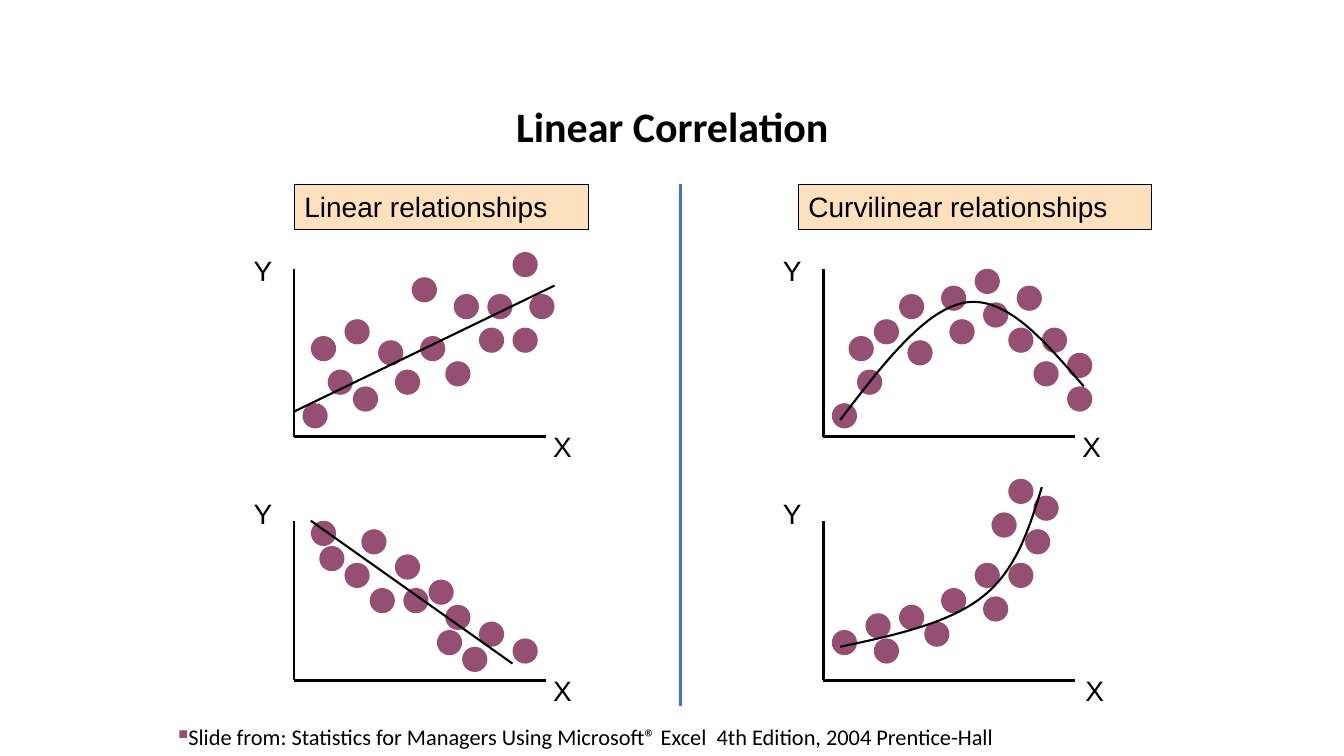
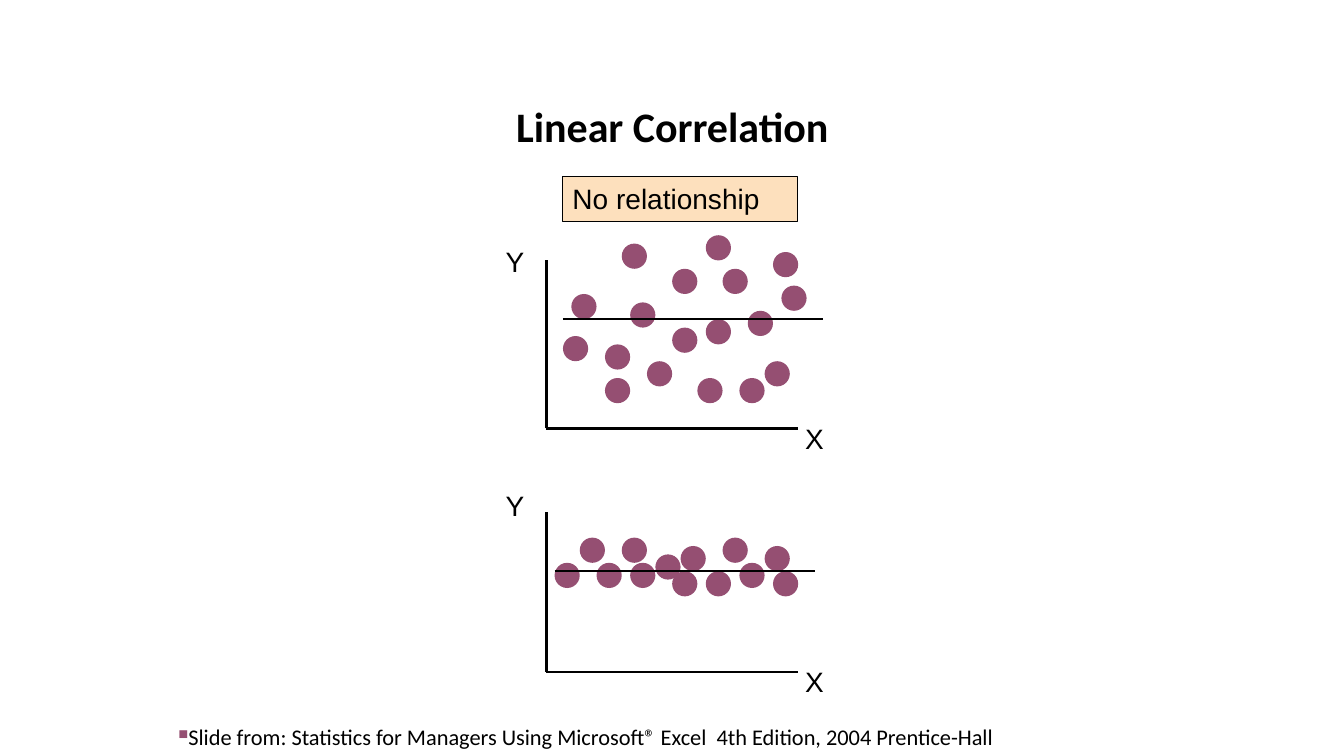
from dataclasses import dataclass

from lxml.etree import SubElement
from pptx import Presentation
from pptx.dml.color import RGBColor
from pptx.enum.shapes import MSO_CONNECTOR, MSO_SHAPE
from pptx.enum.text import MSO_ANCHOR, MSO_AUTO_SIZE, PP_ALIGN
from pptx.oxml.ns import qn
from pptx.util import Inches, Pt


@dataclass(frozen=True)
class Theme:
    ink: str = "000000"
    dot: str = "954F72"
    label_fill: str = "FDE0BD"
    divider: str = "4472C4"
    title_font: str = "Calibri"
    label_font: str = "Arial"
    title_size: int = 30
    label_size: int = 20
    source_size: int = 16
    axis_width: float = 2
    trend_width: float = 1.5
    divider_width: float = 2.25
    border_width: float = 1


TITLE = "Linear Correlation"
SOURCE = ("Slide from: Statistics for Managers Using Microsoft® Excel  "
          "4th Edition, 2004 Prentice-Hall")

# Plot coordinates are twelfths of an inch, right and up from the axis corner
UNIT = 1 / 12
DOT_SIZE = 3
AXIS_LENGTH = 30
CURVE_STEPS = 24


def bezier_points(controls):
    """Sample joined cubic segments; neighbours share their end point."""
    points = [controls[0]]
    for first in range(0, len(controls) - 1, 3):
        a, b, c, d = controls[first:first + 4]
        for step in range(1, CURVE_STEPS + 1):
            t = step / CURVE_STEPS
            weights = ((1 - t) ** 3, 3 * t * (1 - t) ** 2, 3 * t * t * (1 - t), t ** 3)
            points.append(tuple(sum(w * p[axis] for w, p in zip(weights, (a, b, c, d)))
                                for axis in (0, 1)))
    return points


class DeckBuilder:
    def __init__(self, theme):
        self.theme = theme
        self.deck = Presentation()
        self.deck.slide_width = Inches(13.33)
        self.deck.slide_height = Inches(7.5)
        self.page = None

    def new_page(self):
        self.page = self.deck.slides.add_slide(self.deck.slide_layouts[6])
        self.title()
        self.source()

    def add_span(self, para, text, font, size, bold=False):
        span = para.add_run()
        span.text = text
        span.font.name = font
        span.font.size = Pt(size)
        span.font.bold = bold
        span.font.color.rgb = RGBColor.from_string(self.theme.ink)

    def text_box(self, left, top, width, height, wrap=False):
        box = self.page.shapes.add_textbox(
            Inches(left), Inches(top), Inches(width), Inches(height))
        box.text_frame.word_wrap = wrap
        return box.text_frame

    def title(self):
        frame = self.text_box(0.92, 0.4, 11.5, 1.45, wrap=True)
        frame.vertical_anchor = MSO_ANCHOR.MIDDLE
        para = frame.paragraphs[0]
        para.alignment = PP_ALIGN.CENTER
        para.line_spacing = 1.5
        self.add_span(para, TITLE, self.theme.title_font, self.theme.title_size, bold=True)

    def source(self):
        frame = self.text_box(1.67, 7.12, 8.59, 0.37)
        frame.auto_size = MSO_AUTO_SIZE.SHAPE_TO_FIT_TEXT
        para = frame.paragraphs[0]
        # Small coloured square bullet
        properties = para._p.get_or_add_pPr()
        colour = SubElement(properties, qn("a:buClr"))
        SubElement(colour, qn("a:srgbClr"), val=self.theme.dot)
        SubElement(properties, qn("a:buSzPct"), val="60000")
        SubElement(properties, qn("a:buChar"), char="■")
        self.add_span(para, SOURCE, self.theme.title_font, self.theme.source_size)

    def axis_label(self, text, left, top):
        frame = self.text_box(left, top, 0.39, 0.43)
        frame.auto_size = MSO_AUTO_SIZE.SHAPE_TO_FIT_TEXT
        self.add_span(frame.paragraphs[0], text, self.theme.label_font, self.theme.label_size)

    def heading(self, text, left, top, width):
        box = self.page.shapes.add_shape(
            MSO_SHAPE.RECTANGLE, Inches(left), Inches(top), Inches(width), Inches(0.45))
        box.shadow.inherit = False
        box.fill.solid()
        box.fill.fore_color.rgb = RGBColor.from_string(self.theme.label_fill)
        self.stroke(box.line, self.theme.ink, self.theme.border_width)
        box.text_frame.vertical_anchor = MSO_ANCHOR.TOP
        para = box.text_frame.paragraphs[0]
        para.alignment = PP_ALIGN.LEFT
        self.add_span(para, text, self.theme.label_font, self.theme.label_size)

    def stroke(self, line, colour, width):
        line.color.rgb = RGBColor.from_string(colour)
        line.width = Pt(width)

    def line(self, start, end, colour, width):
        connector = self.page.shapes.add_connector(
            MSO_CONNECTOR.STRAIGHT, *(Inches(value) for value in (*start, *end)))
        self.stroke(connector.line, colour, width)
        SubElement(connector._element.spPr, qn("a:effectLst"))

    def curve(self, points):
        points = [(Inches(x), Inches(y)) for x, y in points]
        builder = self.page.shapes.build_freeform(*points[0])
        builder.add_line_segments(points[1:], close=False)
        curve = builder.convert_to_shape()
        curve.shadow.inherit = False
        curve.fill.background()
        self.stroke(curve.line, self.theme.ink, self.theme.trend_width)

    def dot(self, left, top):
        size = Inches(DOT_SIZE * UNIT)
        dot = self.page.shapes.add_shape(
            MSO_SHAPE.OVAL, Inches(left), Inches(top), size, size)
        dot.shadow.inherit = False
        dot.fill.solid()
        dot.fill.fore_color.rgb = RGBColor.from_string(self.theme.dot)
        dot.line.fill.background()

    def scatter(self, corner, axis_height, dots, trend, x_label_offset=2.47):
        """Draw axes, dots (by lower-left corner) and a straight or curved trend."""
        left, bottom = (value * UNIT for value in corner)

        def place(point):
            return left + point[0] * UNIT, bottom - point[1] * UNIT

        for end in ((0, axis_height), (AXIS_LENGTH, 0)):
            self.line(place((0, 0)), place(end), self.theme.ink, self.theme.axis_width)
        self.axis_label("Y", left - 0.5, bottom - 1.87)
        self.axis_label("X", left + x_label_offset, bottom - 0.12)
        for column, row in dots:
            self.dot(*place((column, row + DOT_SIZE)))
        if len(trend) == 2:
            self.line(*map(place, trend), self.theme.ink, self.theme.trend_width)
        else:
            self.curve([place(point) for point in bezier_points(trend)])


RISING = [(1, 1), (4, 5), (26, 19), (28, 14), (7, 3), (23, 14), (18, 6), (19, 14),
          (14, 16), (2, 9), (6, 11), (10, 8.5), (22, 10), (15, 9), (12, 5), (26, 10)]
FALLING = [(20, 1), (3, 13), (26, 2), (8, 15), (18, 6), (22, 4), (12, 12),
           (2, 16), (6, 11), (9, 8), (17, 3), (16, 9), (13, 8)]
ARCHED = [(1, 1), (4, 5), (29, 7), (23, 15), (9, 14), (29, 3), (25, 6), (19, 13),
          (14, 15), (3, 9), (6, 11), (10, 8.5), (22, 10), (15, 11), (18, 17), (26, 10)]
STEEPENING = [(1, 3), (5, 5), (25, 19), (24, 15), (6, 2), (20, 17), (19, 7),
              (18, 11), (22, 21), (9, 6), (22, 11), (14, 8), (12, 4)]
SCATTERED = [(19, 20), (2, 8), (26, 5), (28, 14), (7, 3), (9, 19), (19, 10), (21, 16),
             (27, 18), (15, 16), (7, 7), (10, 12), (23, 3), (15, 9), (12, 5), (3, 13),
             (18, 3), (24, 11)]
FLAT = [(27, 9), (6, 10), (26, 12), (9, 13), (21, 13), (23, 10), (13, 11),
        (1, 10), (4, 13), (10, 10), (19, 9), (16, 12), (15, 9)]

ARCH_TREND = [(2, 2), (7.1, 8.7), (12.2, 15.3), (17, 16),
              (21.9, 16.7), (26.4, 11.3), (31, 6)]
STEEP_TREND = [(2, 4), (8.6, 5.4), (15, 6.8), (19, 10),
               (23, 13.2), (24.5, 18.1), (26, 23)]


def main():
    theme = Theme()
    builder = DeckBuilder(theme)

    # Linear and curvilinear relationships
    builder.new_page()
    builder.heading("Linear relationships", 2.92, 1.83, 2.92)
    builder.heading("Curvilinear relationships", 7.92, 1.83, 3.5)
    builder.line((6.75, 1.83), (6.75, 7), theme.divider, theme.divider_width)
    builder.scatter((35, 52), 20, RISING, [(0, 3), (31, 18)])
    builder.scatter((35, 81), 19, FALLING, [(2, 19), (26, 2)])
    builder.scatter((98, 52), 20, ARCHED, ARCH_TREND)
    builder.scatter((98, 81), 19, STEEPENING, STEEP_TREND, x_label_offset=2.5)

    # No relationship
    builder.new_page()
    builder.heading("No relationship", 5.58, 1.75, 2.33)
    builder.scatter((65, 51), 20, SCATTERED, [(2, 13), (33, 13)])
    builder.scatter((65, 80), 19, FLAT, [(1, 12), (32, 12)])

    builder.deck.save("out.pptx")


if __name__ == "__main__":
    main()
